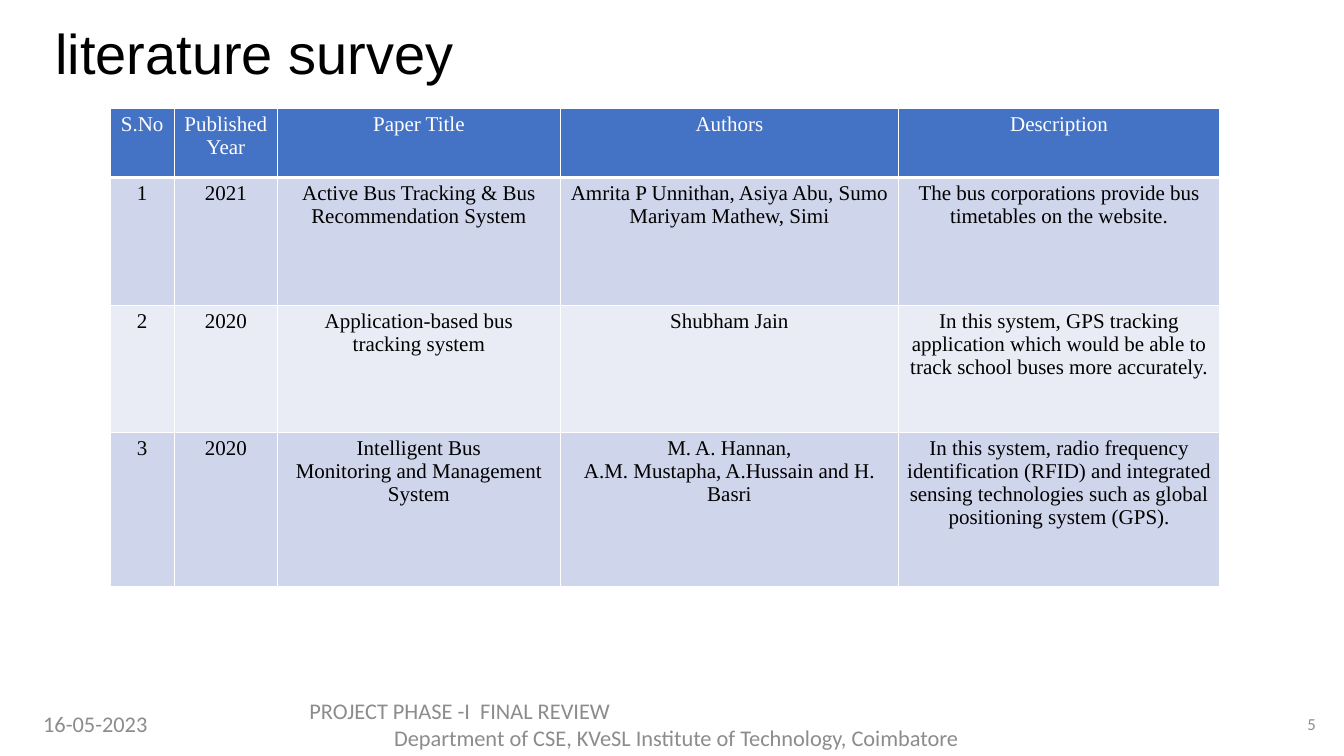
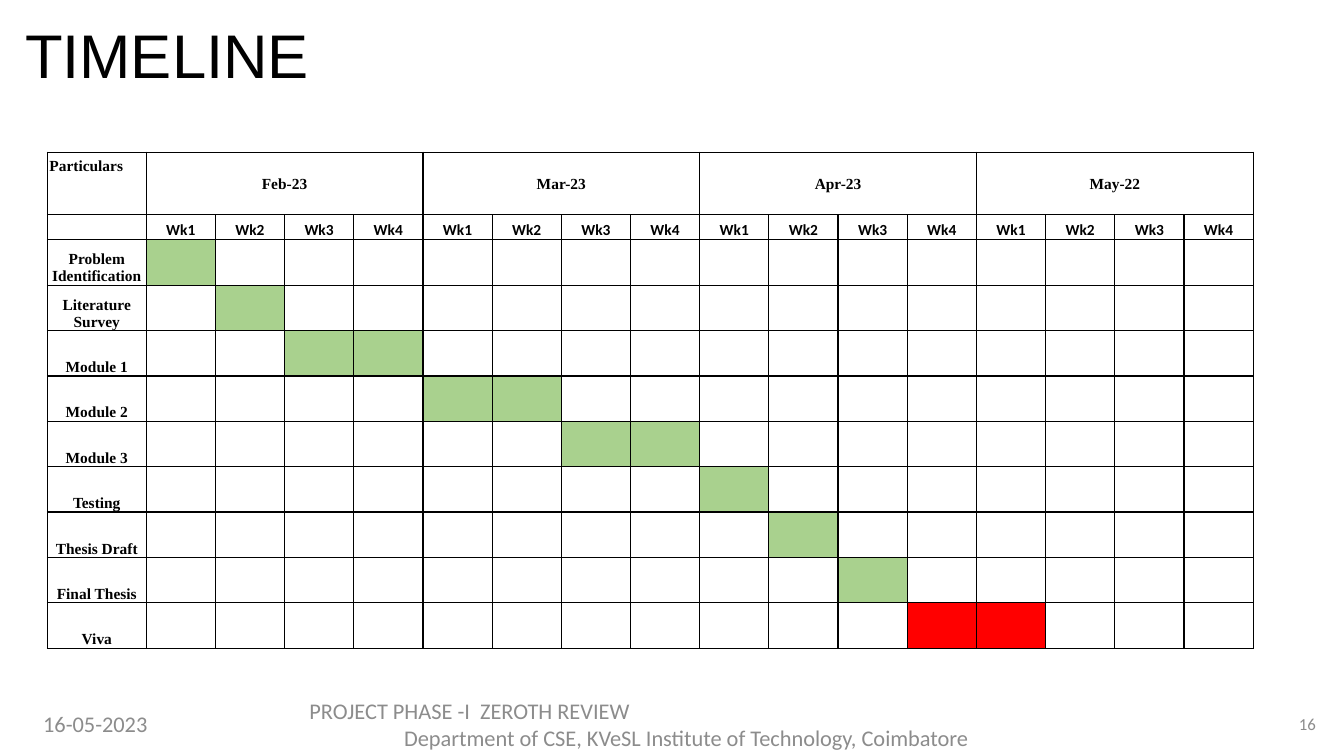
from lxml.etree import SubElement
from pptx import Presentation
from pptx.dml.color import RGBColor
from pptx.enum.text import MSO_ANCHOR, PP_ALIGN
from pptx.oxml.ns import qn
from pptx.util import Inches, Pt

COLORS = {
    "ink": "000000",
    "paper": "FFFFFF",
    "footer": "8C8C8C",
    "header": "4472C4",
    "band_dark": "CFD5EA",
    "band_light": "E9EBF5",
    "done": "A9D18E",
    "deadline": "FF0000",
}
SERIF = "Times New Roman"
SANS = "Calibri"
DATE = "16-05-2023"
DEPARTMENT = "Department of CSE, KVeSL Institute of Technology, Coimbatore"

PAPER_COLUMNS = [0.64, 1.02, 2.81, 3.35, 3.19]
PAPER_ROWS = [0.68, 1.27, 1.26, 1.53]
PAPERS = [
    ["S.No", "Published\nYear", "Paper Title", "Authors", "Description"],
    ["1", "2021", "Active Bus Tracking & Bus Recommendation System",
     "Amrita P Unnithan, Asiya Abu, Sumo Mariyam Mathew, Simi",
     "The bus corporations provide bus timetables on the website."],
    ["2", "2020", "Application-based bus\ntracking system", "Shubham Jain",
     "In this system, GPS tracking application which would be able to "
     "track school buses more accurately."],
    ["3", "2020", "Intelligent Bus\nMonitoring and Management System",
     "M. A. Hannan,\nA.M. Mustapha, A.Hussain and H. Basri",
     "In this system, radio frequency identification (RFID) and integrated "
     "sensing technologies such as global positioning system (GPS)."],
]

MONTHS = ["Feb-23", "Mar-23", "Apr-23", "May-22"]
WEEKS_PER_MONTH = 4
WEEKS = len(MONTHS) * WEEKS_PER_MONTH
TASKS = [
    ("Problem Identification", [1], "done"),
    ("Literature Survey", [2], "done"),
    ("Module 1", [3, 4], "done"),
    ("Module 2", [5, 6], "done"),
    ("Module 3", [7, 8], "done"),
    ("Testing", [9], "done"),
    ("Thesis Draft", [10], "done"),
    ("Final Thesis", [11], "done"),
    ("Viva", [12, 13], "deadline"),
]


def rgb(color):
    return RGBColor.from_string(COLORS[color])


def style(paragraph, face, size, color, align, bold=False):
    paragraph.alignment = align
    paragraph.font.name = face
    paragraph.font.size = Pt(size)
    paragraph.font.bold = bold
    paragraph.font.color.rgb = rgb(color)


def add_text(slide, box, text, face, size, color, align=PP_ALIGN.LEFT):
    frame = slide.shapes.add_textbox(*map(Inches, box)).text_frame
    frame.word_wrap = True
    frame.vertical_anchor = MSO_ANCHOR.MIDDLE
    frame.text = text
    for paragraph in frame.paragraphs:
        style(paragraph, face, size, color, align)
    return frame.paragraphs


def add_title(slide, text, left, top, size):
    title = add_text(slide, (left, top, 11.5, 0.92), text, "Arial", size, "ink")
    title[0].line_spacing = 0.9


def add_footer(slide, review, indent, number):
    add_text(slide, (0.33, 6.98, 1.45, 0.4), DATE, SANS, 16, "footer")
    lines = add_text(slide, (2.97, 6.98, 7.4, 0.4), f"{review}\n{DEPARTMENT}",
                     SANS, 16, "footer")
    lines[1]._p.get_or_add_pPr().set("marL", str(Inches(indent)))
    add_text(slide, (12.54, 6.98, 0.61, 0.4), number, SANS, 12, "footer",
             PP_ALIGN.RIGHT)


def add_grid(slide, left, top, widths, heights):
    grid = slide.shapes.add_table(
        len(heights), len(widths), Inches(left), Inches(top),
        Inches(sum(widths)), Inches(sum(heights))).table
    grid.first_row = grid.horz_banding = False
    for column, width in zip(grid.columns, widths):
        column.width = Inches(width)
    for row, height in zip(grid.rows, heights):
        row.height = Inches(height)
    return grid


def set_borders(cell, color, top=1, bottom=1):
    properties = cell._tc.get_or_add_tcPr()
    sides = [("a:lnL", 1), ("a:lnR", 1), ("a:lnT", top), ("a:lnB", bottom)]
    for position, (side, width) in enumerate(sides):
        line = SubElement(properties, qn(side), w=str(Pt(width)))
        fill = SubElement(line, qn("a:solidFill"))
        SubElement(fill, qn("a:srgbClr"), val=COLORS[color])
        properties.insert(position, line)


def fill_cell(cell, fill=None):
    if fill:
        cell.fill.solid()
        cell.fill.fore_color.rgb = rgb(fill)
    else:
        cell.fill.background()


def write_cell(cell, text, insets, face, size, color="ink", bold=False,
               anchor=MSO_ANCHOR.TOP, align=PP_ALIGN.CENTER):
    (cell.margin_left, cell.margin_top,
     cell.margin_right, cell.margin_bottom) = map(Inches, insets)
    cell.vertical_anchor = anchor
    cell.text_frame.text = text
    for paragraph in cell.text_frame.paragraphs:
        style(paragraph, face, size, color, align, bold)
        paragraph._p.get_or_add_endParaRPr().set("sz", str(size * 100))


def add_survey(slide):
    survey = add_grid(slide, 1.09, 1.08, PAPER_COLUMNS, PAPER_ROWS)
    bands = ["header", "band_dark", "band_light", "band_dark"]
    for row, (paper, band) in enumerate(zip(PAPERS, bands)):
        for column, text in enumerate(paper):
            cell = survey.cell(row, column)
            write_cell(cell, text, (0.08, 0.04, 0.08, 0.04), SERIF, 15,
                       "ink" if row else "paper")
            fill_cell(cell, band)
            set_borders(cell, "paper", top=3 if row == 1 else 1,
                        bottom=1 if row else 3)


def add_timeline(slide):
    label_width = 0.98
    week_width = (11.96 - label_width) / WEEKS
    timeline = add_grid(slide, 0.47, 1.51, [label_width] + [week_width] * WEEKS,
                        [0.62, 0.25] + [0.45] * len(TASKS))

    def label(row, column, text, face=SERIF, anchor=MSO_ANCHOR.BOTTOM):
        write_cell(timeline.cell(row, column), text, (0.01, 0.01, 0.01, 0),
                   face, 11, bold=True, anchor=anchor)

    for cell in timeline.iter_cells():
        write_cell(cell, "", (0.01, 0.01, 0.01, 0), SERIF, 11)
        fill_cell(cell)
        set_borders(cell, "ink")

    write_cell(timeline.cell(0, 0), "Particulars", (0.02, 0.05, 0.01, 0),
               SERIF, 11, bold=True, align=PP_ALIGN.LEFT)
    for index, month in enumerate(MONTHS):
        first = 1 + index * WEEKS_PER_MONTH
        last = first + WEEKS_PER_MONTH - 1
        timeline.cell(0, first).merge(timeline.cell(0, last))
        label(0, first, month, anchor=MSO_ANCHOR.MIDDLE)
        for week in range(WEEKS_PER_MONTH):
            label(1, first + week, f"Wk{week + 1}", SANS)
    for row, (task, weeks, color) in enumerate(TASKS, start=2):
        label(row, 0, task)
        for week in weeks:
            fill_cell(timeline.cell(row, week), color)


def main():
    deck = Presentation()
    deck.slide_width, deck.slide_height = Inches(13.33), Inches(7.5)
    blank = deck.slide_layouts[6]

    survey = deck.slides.add_slide(blank)
    add_title(survey, "literature survey", 0.45, 0.1, 40)
    add_footer(survey, "PROJECT PHASE -I  FINAL REVIEW", 0.84, "5")
    add_survey(survey)

    timeline = deck.slides.add_slide(blank)
    add_title(timeline, "TIMELINE", 0.15, 0.12, 44)
    add_footer(timeline, "PROJECT PHASE -I  ZEROTH REVIEW", 0.94, "16")
    add_timeline(timeline)

    deck.save("out.pptx")


if __name__ == "__main__":
    main()
